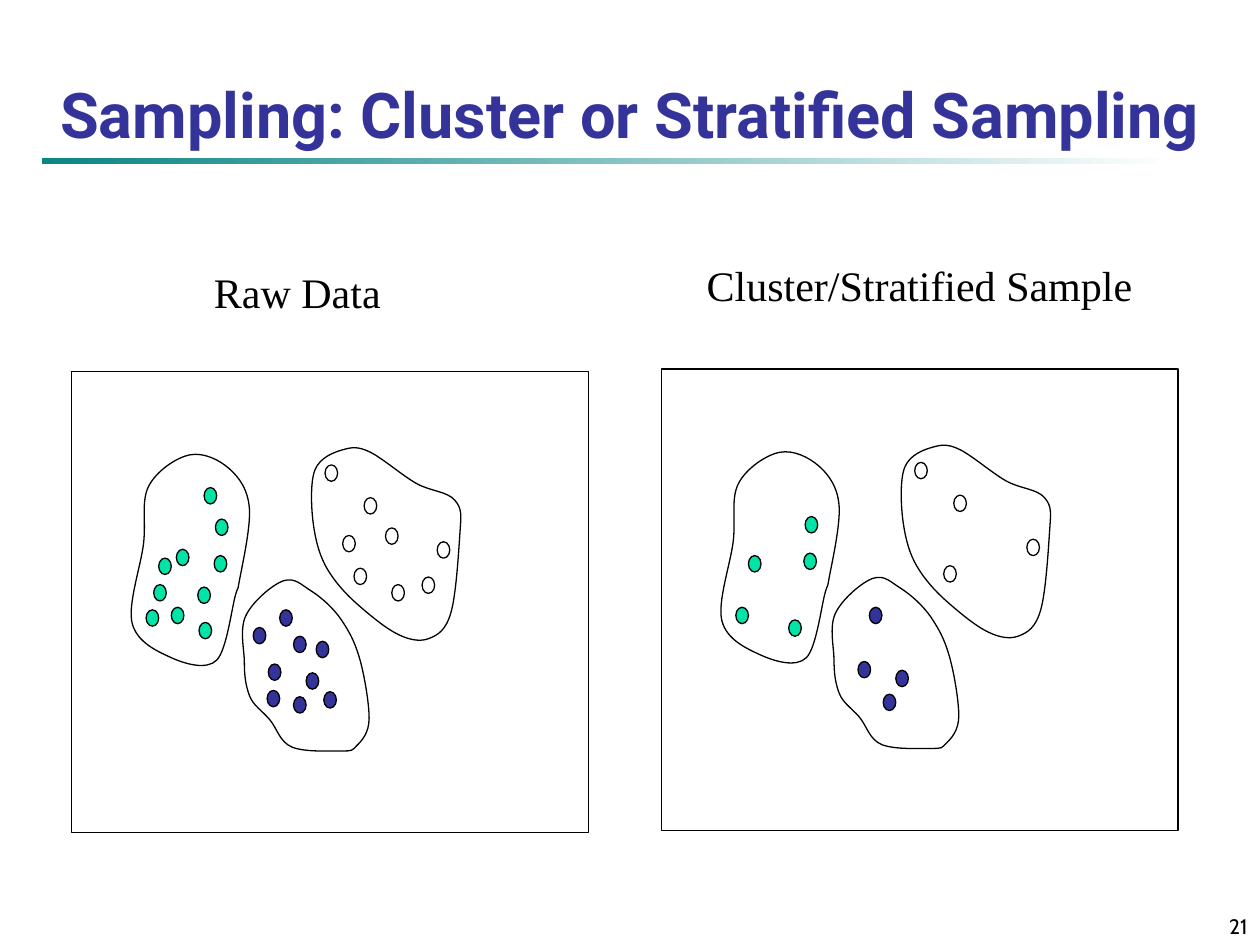
from lxml import etree
from pptx import Presentation
from pptx.dml.color import RGBColor
from pptx.enum.shapes import MSO_SHAPE
from pptx.enum.text import MSO_ANCHOR, MSO_AUTO_SIZE, PP_ALIGN
from pptx.oxml.ns import qn
from pptx.util import Emu, Inches, Pt

RECTANGLE, DOT = MSO_SHAPE.RECTANGLE, MSO_SHAPE.FLOWCHART_CONNECTOR
TOP, BOTTOM = MSO_ANCHOR.TOP, MSO_ANCHOR.BOTTOM
LEFT, CENTER, RIGHT = PP_ALIGN.LEFT, PP_ALIGN.CENTER, PP_ALIGN.RIGHT
GROW = MSO_AUTO_SIZE.SHAPE_TO_FIT_TEXT

COLORS = {"title": "333399", "text": "000000", "line": "000000", "rule": "0A8585",
          "white": "FFFFFF", "blue": "333399", "green": "00E4A8"}

# The drawing grid has 1000 columns and 750 rows.
COLUMNS, ROWS = 1000, 750
CELL = Inches(10) // COLUMNS
PANEL = (57, 295, 410, 366)
DOT_WIDTH, DOT_HEIGHT = 10, 13
SAMPLE_SHIFT = (468, -2)

# A smooth closed curve runs through the outline points of each cluster.
CLUSTERS = [
    {"color": "white",
     "sampled": [(289, 395), (281, 451), (347, 430), (258, 369)],
     "left_out": [(306, 419), (272, 425), (335, 458), (311, 464)],
     "outline": [(361, 397), (365, 424), (358, 486), (340, 507), (313, 502), (283, 479),
                 (260, 452), (249, 418), (250, 373), (272, 357), (294, 359), (331, 384)]},
    {"color": "blue",
     "sampled": [(233, 553), (243, 534), (213, 527), (222, 484)],
     "left_out": [(201, 498), (251, 509), (212, 548), (233, 505), (257, 549)],
     "outline": [(214, 571), (198, 552), (194, 526), (195, 489), (225, 461), (247, 469),
                 (271, 492), (285, 521), (293, 570), (283, 592), (271, 596), (232, 593)]},
    {"color": "green",
     "sampled": [(116, 484), (126, 443), (158, 494), (170, 441), (171, 412)],
     "left_out": [(136, 482), (122, 464), (157, 466), (140, 436), (162, 387)],
     "outline": [(187, 472), (172, 524), (136, 522), (105, 495), (114, 431),
                 (118, 386), (151, 361), (182, 372), (198, 404), (190, 461)]},
]


def rgb(part):
    return RGBColor.from_string(COLORS[part])


def on_grid(*cells):
    return [Emu(cell * CELL) for cell in cells]


def moved(point, shift):
    return point[0] + shift[0], point[1] + shift[1]


def style_outline(shape, fill=None):
    shape.shadow.inherit = False
    if fill:
        shape.fill.solid()
        shape.fill.fore_color.rgb = rgb(fill)
    else:
        shape.fill.background()
    shape.line.color.rgb = rgb("line")
    shape.line.width = Pt(0.75)


def add_text(slide, box, text, font, size, color="text", bold=False,
             align=LEFT, anchor=TOP, wrap=True):
    textbox = slide.shapes.add_textbox(*on_grid(*box))
    frame = textbox.text_frame
    frame.word_wrap = wrap
    frame.vertical_anchor = anchor
    if not wrap:
        frame.auto_size = GROW
    paragraph = frame.paragraphs[0]
    paragraph.alignment = align
    run = paragraph.add_run()
    run.text = text
    run.font.name = font
    run.font.size = Pt(size)
    run.font.bold = bold
    run.font.color.rgb = rgb(color)


def add_title_rule(slide):
    rule = slide.shapes.add_shape(RECTANGLE, *on_grid(33, 125, 900, 5))
    rule.shadow.inherit = False
    rule.line.fill.background()
    rule.fill.gradient()
    rule.fill.gradient_angle = 0
    for stop, color, position in zip(rule.fill.gradient_stops, ("rule", "white"), (0, 1)):
        stop.color.rgb = rgb(color)
        stop.position = position


def smooth_curves(points):
    """Return two control points and an end point for each side of the outline."""
    curves = []
    for i, start in enumerate(points):
        before = points[i - 1]
        end, after = (points[(i + step) % len(points)] for step in (1, 2))
        curves += [tuple(s + (e - b) / 6 for b, s, e in zip(before, start, end)),
                   tuple(e - (a - s) / 6 for s, e, a in zip(start, end, after)),
                   end]
    return curves


def add_curved_outline(shapes, points):
    """Draw a closed shape, turning each three line segments into one curve."""
    builder = shapes.build_freeform(*points[0], scale=CELL)
    builder.add_line_segments(smooth_curves(points), close=True)
    outline = builder.convert_to_shape()
    segments = list(outline._element.iter(qn("a:lnTo")))
    for curve_segments in zip(*[iter(segments)] * 3):
        curve = etree.Element(qn("a:cubicBezTo"))
        curve_segments[0].addprevious(curve)
        for segment in curve_segments:
            curve.append(segment[0])
            segment.getparent().remove(segment)
    style_outline(outline)


def add_panel(slide, shift, kept):
    """Draw the frame and clusters, with the dots of the kept lists only."""
    shapes = slide.shapes.add_group_shape().shapes
    frame = shapes.add_shape(RECTANGLE, *on_grid(*moved(PANEL, shift), *PANEL[2:]))
    style_outline(frame)
    for cluster in CLUSTERS:
        add_curved_outline(shapes, [moved(point, shift) for point in cluster["outline"]])
        for corner in (corner for group in kept for corner in cluster[group]):
            dot = shapes.add_shape(
                DOT, *on_grid(*moved(corner, shift), DOT_WIDTH, DOT_HEIGHT))
            style_outline(dot, cluster["color"])


def main():
    presentation = Presentation()
    presentation.slide_width, presentation.slide_height = on_grid(COLUMNS, ROWS)
    slide = presentation.slides.add_slide(presentation.slide_layouts[6])
    add_title_rule(slide)
    add_text(slide, (792, 708, 208, 42), "21", "Cabin", 12, align=RIGHT, anchor=BOTTOM)
    add_text(slide, (25, 33, 950, 92), "Sampling: Cluster or Stratified Sampling",
             "Roboto", 36, "title", bold=True, align=CENTER, anchor=BOTTOM)
    add_panel(slide, (0, 0), ("sampled", "left_out"))
    add_panel(slide, SAMPLE_SHIFT, ("sampled",))
    for box, label in (((160, 207, 160, 50), "Raw Data"),
                       ((551, 201, 358, 50), "Cluster/Stratified Sample")):
        add_text(slide, box, label, "Times New Roman", 24, wrap=False)
    presentation.save("out.pptx")


if __name__ == "__main__":
    main()
